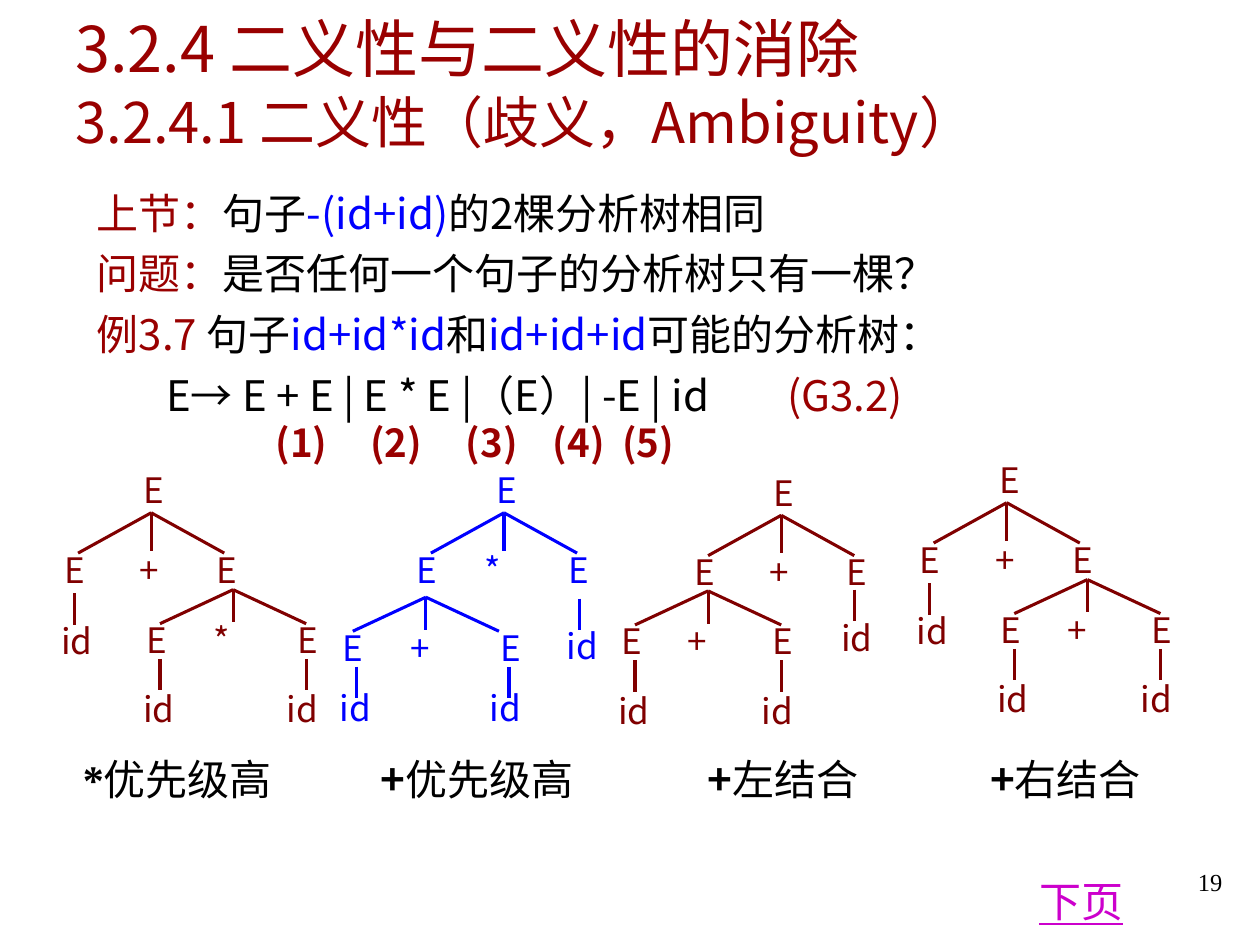
from pptx import Presentation
from pptx import util as u
from pptx.dml.color import RGBColor
from pptx.enum import shapes, text
from pptx.oxml import xmlchemy
from pptx.oxml.ns import qn
from lxml import etree

SANS, SERIF = "Noto Sans CJK SC", "Times New Roman"
RED, MAROON, BLUE, BLACK = "990000", "800000", "0000FF", "000000"
LEFT, CENTER, RIGHT = text.PP_ALIGN.LEFT, text.PP_ALIGN.CENTER, text.PP_ALIGN.RIGHT

deck = Presentation()
deck.slide_width, deck.slide_height = u.Inches(10), u.Inches(7.5)
slide = deck.slides.add_slide(deck.slide_layouts[6])


def write(box, paragraphs, size, pitch=None, align=LEFT, inset=True, wrap=True, tabs=()):
    frame = slide.shapes.add_textbox(*[u.Inches(v) for v in box]).text_frame
    side, edge = (0.1, 0.05) if inset else (0, 0)
    layout = {"word_wrap": wrap, "margin_left": u.Inches(side), "margin_right": u.Inches(side),
              "margin_top": u.Inches(edge), "margin_bottom": u.Inches(edge)}
    for key, value in layout.items():
        setattr(frame, key, value)
    for i, pieces in enumerate(paragraphs):
        line = frame.add_paragraph() if i else frame.paragraphs[0]
        line.alignment = align
        line.line_spacing = u.Pt(pitch or size * 1.2)
        if tabs:
            stops = etree.SubElement(line._p.get_or_add_pPr(), qn("a:tabLst"))
            for stop in tabs:
                etree.SubElement(stops, qn("a:tab"), pos=str(u.Inches(stop)), algn="l")
        for words, color, *style in pieces:
            if words == "\v":
                line.add_line_break()
                continue
            run = line.add_run()
            run.text = words
            look = {"size": u.Pt(size), "name": SANS, "bold": False}
            look.update(style[0] if style else {})
            for key, value in look.items():
                setattr(run.font, key, value)
            run.font.color.rgb = RGBColor.from_string(color)
            latin = run.font._element.find(qn("a:latin"))
            east = etree.Element(qn("a:ea"), typeface=SANS)
            latin.addnext(east)
    return frame


def edge(parent, start, end, color):
    ends = [u.Inches(v) for v in (*start, *end)]
    branch = parent.add_connector(shapes.MSO_CONNECTOR.STRAIGHT, *ends)
    branch.line.color.rgb = RGBColor.from_string(color)
    branch.line.width = u.Pt(1.75)
    etree.SubElement(branch._element.spPr, qn("a:effectLst"))


write((7.72, 6.83, 2.08, 0.5), [[("19", BLACK, {"name": SERIF})]], 14, align=RIGHT)

title = write((0.5, 0.05, 8.5, 1.25),
              [[("3.2.4 二义性与二义性的消除", RED), ("\v", RED),
                ("3.2.4.1 二义性（歧义，Ambiguity）", RED, {"size": u.Pt(32)})]], 36, pitch=40)
title.vertical_anchor = text.MSO_ANCHOR.MIDDLE

write((0.67, 1.36, 8.11, 1.54), [
    [("上节：", RED), ("句子", BLACK), ("-(id+id)", BLUE), ("的2棵分析树相同", BLACK)],
    [("问题：", RED), ("是否任何一个句子的分析树只有一棵？", BLACK)],
    [("例3.7 ", RED), ("句子", BLACK), ("id+id*id", BLUE), ("和", BLACK),
     ("id+id+id", BLUE), ("可能的分析树：", BLACK)],
], 24, pitch=34.5)
write((1.22, 2.88, 7.56, 0.5),
      [[("E→ E + E | E * E |（E）| -E | id\t", BLACK), ("(G3.2)", RED)]], 24, tabs=[4.93])
write((2.09, 3.28, 5.83, 0.47),
      [[("(1)\t(2)\t(3)\t(4)\t(5)", RED, {"bold": True})]], 22, tabs=[0.75, 1.51, 2.2, 2.75])

captions = [(0.56, 1.84, "*", "优先级高", SERIF), (2.92, 1.84, "+", "优先级高", SANS),
            (5.52, 1.61, "+", "左结合", SANS), (7.76, 1.65, "+", "右结合", SANS)]
for left, width, sign, rule, face in captions:
    write((left, 5.93, width, 0.5),
          [[(sign, BLACK, {"name": face, "bold": True}), (rule, BLACK, {"name": SERIF})]], 24)

plain, starred, wide = (-0.62, -0.02, 0.59), (-0.62, -0.09, 0.58), (-0.59, -0.05, 0.66)
trees = [
    (MAROON, (1.2, 4.07), "+", plain, (0.65, 0.61), "*", starred, (-0.61, 0.64), 0.78),
    (BLUE, (4, 4.07), "*", starred, (-0.62, 0.67), "+", wide, (0.6, 0.68), 0.71),
    (MAROON, (6.2, 4.09), "+", plain, (-0.58, 0.6), "+", starred, (0.58, 0.59), 0.78),
    (MAROON, (7.99, 3.99), "+", plain, (0.64, 0.61), "+", starred, (-0.61, 0.64), 0.78),
]
for color, (x, y), top_sign, top_kids, (dx, dy), low_sign, low_kids, (lone_x, lone_y), id_drop in trees:
    low_x, low_y = x + dx, y + dy
    nodes = [("E", x + 0.01, y - 0.35)]
    levels = [(x, y, top_sign, top_kids, 0.32, 0.3, 0.28),
              (low_x, low_y, low_sign, low_kids, 0.27, 0.26, 0.23)]
    for apex_x, apex_y, sign, kids, drop, stem, gap in levels:
        fork = slide.shapes.add_group_shape().shapes
        for spread, fall in ((0, stem), (-0.58, drop), (0.58, drop)):
            edge(fork, (apex_x, apex_y), (apex_x + spread, apex_y + fall), color)
        nodes += [(mark, apex_x + kid, apex_y + gap) for mark, kid in zip(("E", sign, "E"), kids)]
    twigs = [(x + lone_x, y + lone_y, x + lone_x + 0.02, y + lone_y + 0.21),
             (low_x + low_kids[0] + 0.04, low_y + 0.55, low_x + low_kids[0] + 0.03, low_y + id_drop),
             (low_x + low_kids[2], low_y + 0.55, low_x + low_kids[2] - 0.03, low_y + id_drop)]
    for twig_x, twig_y, id_x, id_y in twigs:
        edge(slide.shapes, (twig_x, twig_y), (twig_x, twig_y + 0.25), color)
        nodes.append(("id", id_x, id_y))
    for mark, center, top in nodes:
        width = 0.28 if mark == "id" else 0.14
        write((center - width / 2, top, width, 0.33), [[(mark, color)]], 20,
              align=CENTER, inset=False, wrap=False)

write((7.99, 6.9, 1.18, 0.5), [[("下页", "CC00CC", {"underline": True})]], 24, align=CENTER)

deck.save("out.pptx")
